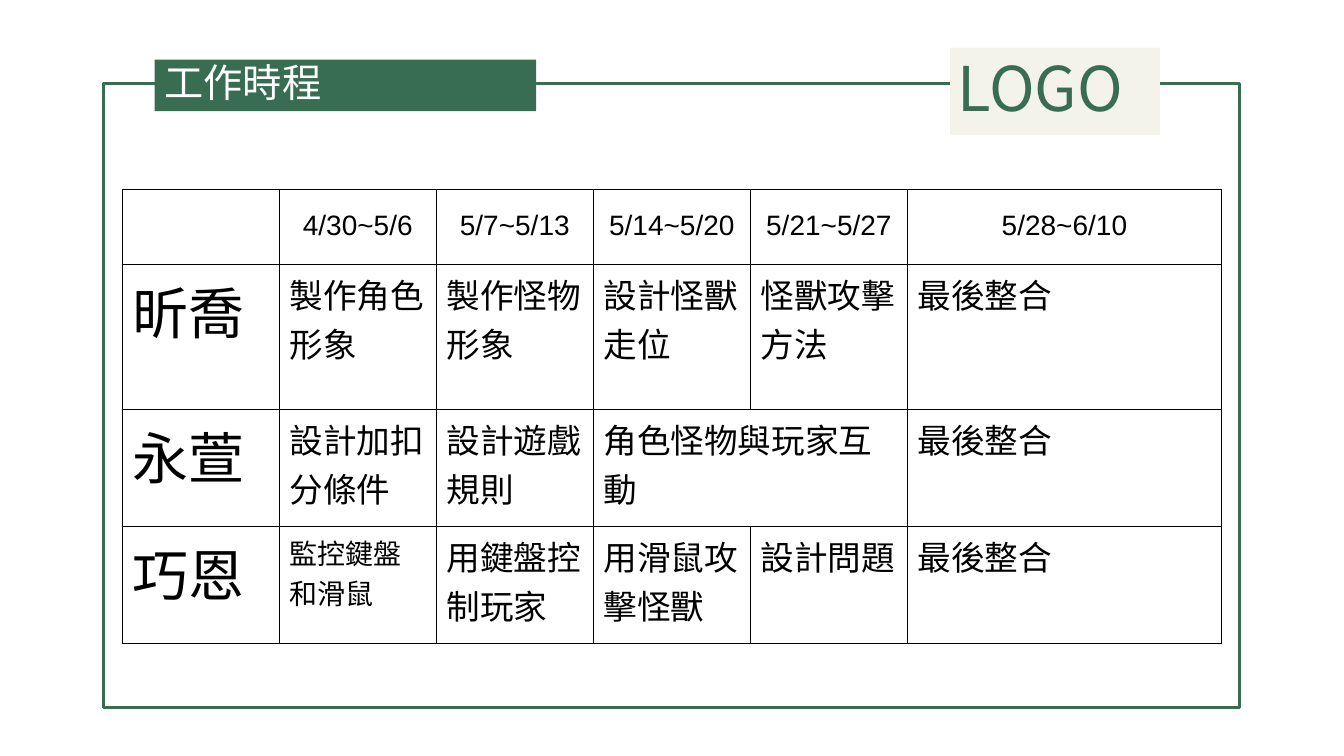
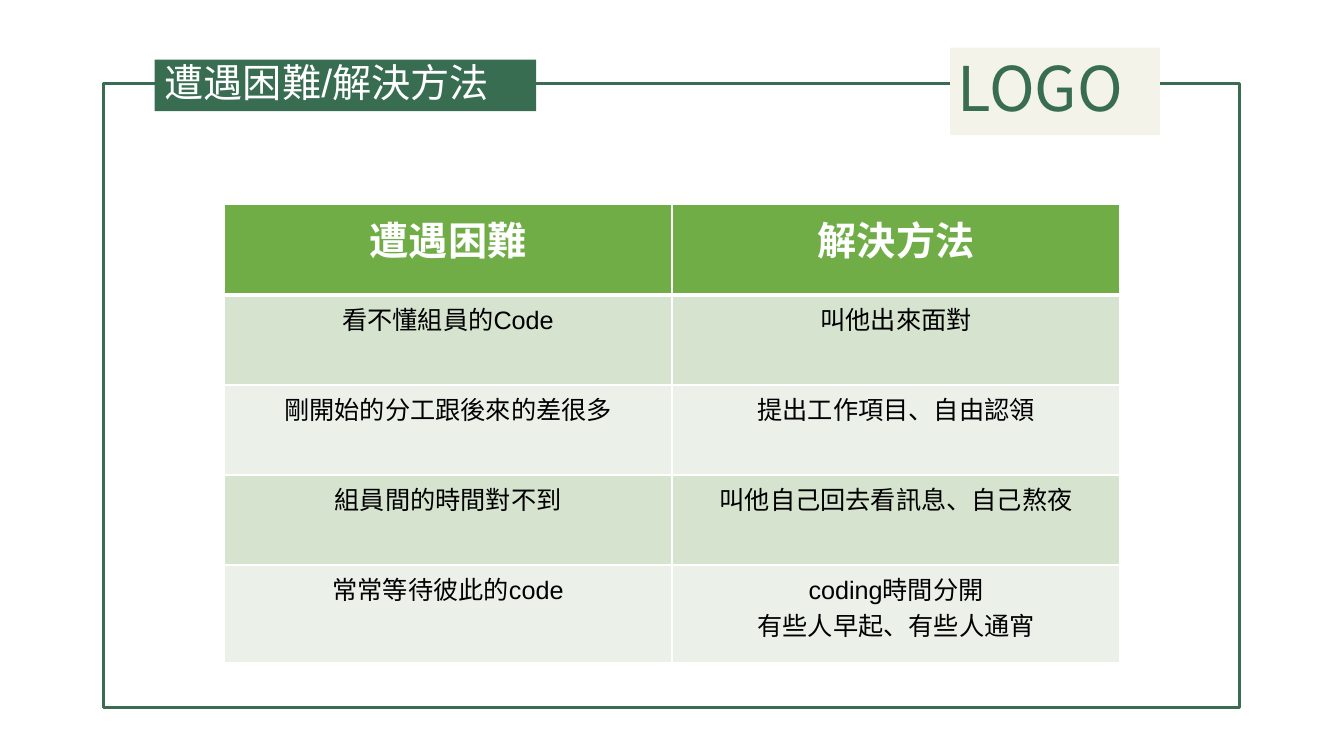
from dataclasses import dataclass

from lxml import etree
from pptx import Presentation
from pptx import util as u
from pptx.dml.color import RGBColor
from pptx.enum import shapes, text
from pptx.oxml import ns


@dataclass(frozen=True)
class Theme:
    # Colours
    green: str = "386D52"
    cream: str = "F4F3E9"
    head: str = "70AD47"
    bands: tuple = ("D5E3CF", "EBF1E9")
    white: str = "FFFFFF"
    black: str = "000000"
    # Fonts and type sizes
    font: str = "Arial"
    asian: str = "Noto Sans CJK SC"
    logo: int = 44
    name: int = 40
    title: int = 28
    body: int = 24
    small: int = 20
    note: int = 18


@dataclass(frozen=True)
class Look:
    """How one table cell appears."""
    size: int
    color: str = "000000"
    bold: bool = False
    align: object = text.PP_ALIGN.CENTER
    space: float = 1.0
    fill: str = ""


T = Theme()
ALIGN = text.PP_ALIGN


class Deck:
    def __init__(self):
        self.prs = Presentation()
        self.prs.slide_width = u.Inches(13.33)
        self.prs.slide_height = u.Inches(7.5)
        self.slide = None

    def area(self, left, top, wide, high):
        """Turn percentages of the slide into lengths."""
        w, h = self.prs.slide_width, self.prs.slide_height
        return [int(part * full / 100)
                for part, full in zip((left, top, wide, high), (w, h, w, h))]

    def style(self, frame, look, font=T.font):
        for para in frame.paragraphs:
            para.alignment = look.align
            para.line_spacing = look.space
            for run in para.runs:
                run.font.size = u.Pt(look.size)
                run.font.bold = look.bold
                run.font.name = font
                run.font.color.rgb = RGBColor.from_string(look.color)
                asian = etree.SubElement(run.font._element, ns.qn("a:ea"))
                asian.set("typeface", T.asian)

    def box(self, area, fill=None, line=None):
        shape = self.slide.shapes.add_shape(
            shapes.MSO_SHAPE.RECTANGLE, *self.area(*area))
        shape.shadow.inherit = False
        if fill:
            shape.fill.solid()
            shape.fill.fore_color.rgb = RGBColor.from_string(fill)
        else:
            shape.fill.background()
        if line:
            shape.line.color.rgb = RGBColor.from_string(line)
            shape.line.width = u.Pt(2.25)
        else:
            shape.line.fill.background()

    def label(self, area, words, look, font):
        frame = self.slide.shapes.add_textbox(*self.area(*area)).text_frame
        frame.word_wrap = True
        frame.text = words
        self.style(frame, look, font)

    def title(self, area, words):
        shape = self.slide.shapes.title
        shape.left, shape.top, shape.width, shape.height = self.area(*area)
        frame = shape.text_frame
        frame.text = words
        frame.auto_size = text.MSO_AUTO_SIZE.NONE
        frame.vertical_anchor = text.MSO_ANCHOR.MIDDLE
        self.style(frame, Look(T.title, T.white, align=ALIGN.JUSTIFY, space=0.9))
        # Bring the title in front of its band
        shape.element.getparent().append(shape.element)

    def page(self, words):
        """Start a slide with the shared frame, bands and title."""
        self.slide = self.prs.slides.add_slide(self.prs.slide_layouts[5])
        self.box((7.72, 11.1, 84.5, 82.5), line=T.green)
        self.box((70.7, 6.3, 15.6, 11.6), fill=T.cream)
        self.box((11.5, 7.9, 28.4, 6.8), fill=T.green)
        self.label((70.5, 6, 16, 11.2), "LOGO",
                   Look(T.logo, T.green, align=ALIGN.JUSTIFY), T.asian)
        self.title((11.5, 7.9, 28.2, 6.7), words)

    def edges(self, cell, color, top=1, bottom=1):
        props = cell._tc.get_or_add_tcPr()
        for side, width in zip("LRTB", (1, 1, top, bottom)):
            line = etree.SubElement(props, ns.qn(f"a:ln{side}"), w=str(u.Pt(width)))
            fill = etree.SubElement(line, ns.qn("a:solidFill"))
            etree.SubElement(fill, ns.qn("a:srgbClr"), val=color)

    def table(self, area, rows, cols, highs, look, line, rule=1):
        """Columns and row heights are weights; rule is the line under the head."""
        left, top, wide, high = self.area(*area)
        grid = self.slide.shapes.add_table(
            len(rows), len(cols), left, top, wide, high).table
        grid.first_row = grid.horz_banding = False
        for col, part in zip(grid.columns, cols):
            col.width = int(wide * part / sum(cols))
        for row, part in zip(grid.rows, highs):
            row.height = int(high * part / sum(highs))
        for r, row in enumerate(rows):
            for c, words in enumerate(row):
                cell, kind = grid.cell(r, c), look(r, c)
                self.edges(cell, line, rule if r == 1 else 1, rule if r == 0 else 1)
                if kind.fill:
                    cell.fill.solid()
                    cell.fill.fore_color.rgb = RGBColor.from_string(kind.fill)
                else:
                    cell.fill.background()
                if words:
                    cell.text_frame.text = words
                    self.style(cell.text_frame, kind)
        return grid


def plan(r, c):
    if r == 0:
        return Look(T.small, space=1.5)
    if c == 0:
        return Look(T.name, align=ALIGN.LEFT)
    size = T.small if (r, c) == (3, 1) else T.body
    return Look(size, align=ALIGN.LEFT)


def issue(r, c):
    if r == 0:
        return Look(T.title, T.white, bold=True, fill=T.head)
    return Look(T.note, fill=T.bands[(r - 1) % 2])


def main():
    deck = Deck()

    # Work schedule
    deck.page("工作時程")
    dates = deck.table(
        (9.1, 25.1, 81.8, 60),
        [["", "4/30~5/6", "5/7~5/13", "5/14~5/20", "5/21~5/27", "5/28~6/10"],
         ["昕喬", "製作角色形象", "製作怪物形象", "設計怪獸走位", "怪獸攻擊方法", "最後整合"],
         ["永萱", "設計加扣分條件", "設計遊戲規則", "角色怪物與玩家互動", "", "最後整合"],
         ["巧恩", "監控鍵盤和滑鼠", "用鍵盤控制玩家", "用滑鼠攻擊怪獸", "設計問題", "最後整合"]],
        cols=[1, 1, 1, 1, 1, 2], highs=[0.74, 1.44, 1.16, 1.16],
        look=plan, line=T.black)
    dates.cell(2, 3).merge(dates.cell(2, 4))

    # Problems and solutions
    deck.page("遭遇困難/解決方法")
    deck.table(
        (16.67, 27.1, 66.67, 60.5),
        [["遭遇困難", "解決方法"],
         ["看不懂組員的Code", "叫他出來面對"],
         ["剛開始的分工跟後來的差很多", "提出工作項目、自由認領"],
         ["組員間的時間對不到", "叫他自己回去看訊息、自己熬夜"],
         ["常常等待彼此的code", "coding時間分開\n有些人早起、有些人通宵"]],
        cols=[1, 1], highs=[0.89] * 4 + [0.96],
        look=issue, line=T.white, rule=3)

    deck.prs.save("out.pptx")


if __name__ == "__main__":
    main()
